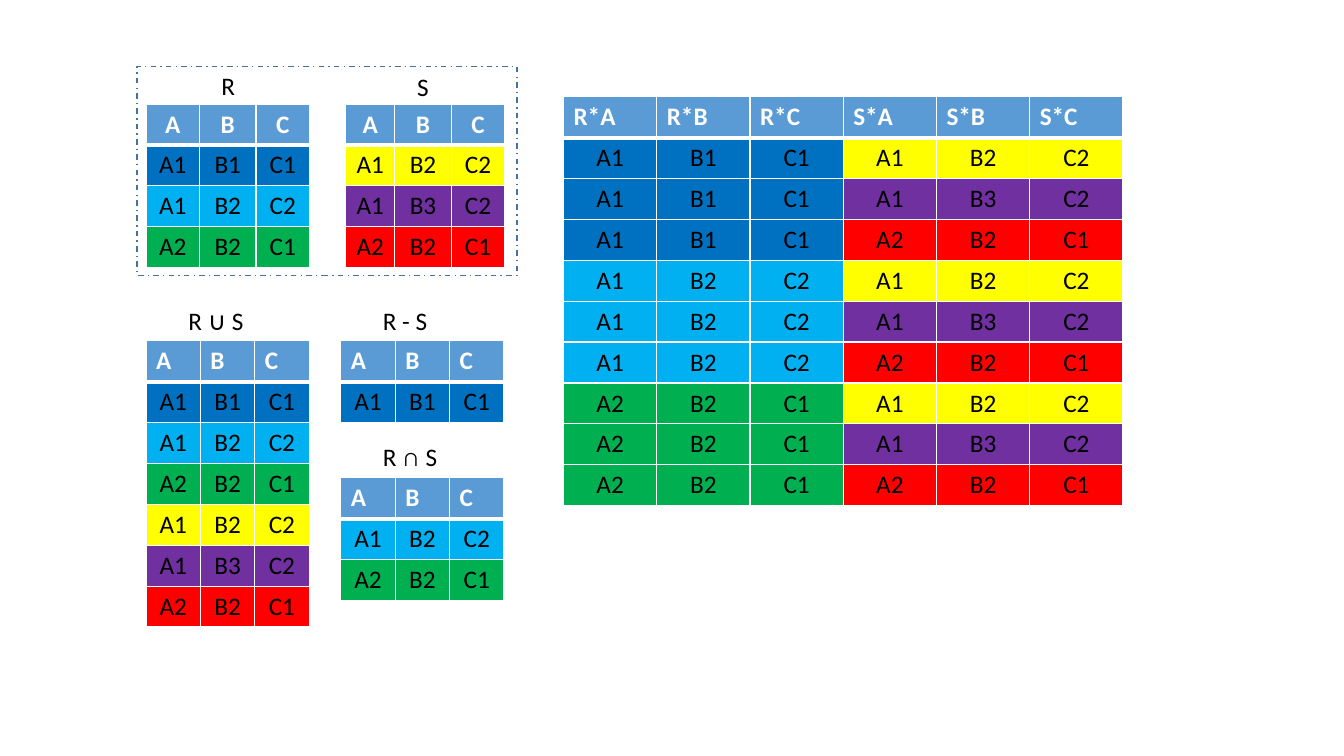
from itertools import product

from lxml import etree
from pptx import Presentation
from pptx.dml.color import RGBColor
from pptx.enum.dml import MSO_LINE
from pptx.enum.shapes import MSO_SHAPE
from pptx.enum.text import MSO_AUTO_SIZE, PP_ALIGN
from pptx.oxml.ns import qn
from pptx.util import Cm, Pt

COLORS = {
    "header": "5B9BD5", "frame": "43739E", "white": "FFFFFF", "black": "000000",
    "blue": "0070C0", "sky": "00B0F0", "green": "00B050",
    "yellow": "FFFF00", "purple": "7030A0", "red": "FF0000",
}
FONT, SIZE = "Calibri", Pt(18)
ROW_HEIGHT = 1.03

# A relation is a list of tuples; each value carries the colour of its tuple.
HEADERS = ["A", "B", "C"]


def relation(*rows):
    """Attach each row's colour to all of its values."""
    return [[(value, color) for value in values.split()] for values, color in rows]


R = relation(("A1 B1 C1", "blue"), ("A1 B2 C2", "sky"), ("A2 B2 C1", "green"))
S = relation(("A1 B2 C2", "yellow"), ("A1 B3 C2", "purple"), ("A2 B2 C1", "red"))


def values(row):
    """Return the row's values without colours."""
    return [value for value, _ in row]


S_VALUES = [values(row) for row in S]
UNION = R + S
DIFFERENCE = [row for row in R if values(row) not in S_VALUES]
INTERSECTION = [row for row in R if values(row) in S_VALUES]
PRODUCT = [r + s for r, s in product(R, S)]
PRODUCT_HEADERS = [f"{name}*{h}" for name, h in product("RS", HEADERS)]

EVEN = [1.37] * 3
# left, top, column widths, headers, rows, header alignment
TABLES = [
    (3.68, 2.62, [1.35, 1.42, 1.35], HEADERS, R, PP_ALIGN.CENTER),
    (8.71, 2.62, [1.24, 1.42, 1.35], HEADERS, S, PP_ALIGN.CENTER),
    (3.68, 8.59, EVEN, HEADERS, UNION, PP_ALIGN.LEFT),
    (8.59, 8.59, EVEN, HEADERS, DIFFERENCE, PP_ALIGN.LEFT),
    (8.59, 12.04, EVEN, HEADERS, INTERSECTION, PP_ALIGN.LEFT),
    (14.2, 2.44, [2.35] * 6, PRODUCT_HEADERS, PRODUCT, PP_ALIGN.LEFT),
]
# text, left, top, width, wrap
LABELS = [
    ("R", 5.33, 1.66, 0.84, True),
    ("S", 10.26, 1.68, 0.84, True),
    ("R ∪ S", 4.5, 7.57, 2.08, False),
    ("R - S", 9.4, 7.57, 1.65, False),
    ("R ∩ S", 9.4, 11.0, 1.9, False),
]
FRAME = (3.45, 1.68, 9.58, 5.26)


def rgb(name):
    """Look up a named colour."""
    return RGBColor.from_string(COLORS[name])


def write(frame, text, color="black", align=PP_ALIGN.LEFT, bold=False):
    """Put one styled line of text in a text frame."""
    paragraph = frame.paragraphs[0]
    paragraph.alignment = align
    run = paragraph.add_run()
    run.text = text
    run.font.name, run.font.size, run.font.bold = FONT, SIZE, bold
    run.font.color.rgb = rgb(color)


def add_borders(cell, top, bottom):
    """Draw white cell borders; side lines are 1 pt wide."""
    tc_pr = cell._tc.get_or_add_tcPr()
    for side, width in (("L", 1), ("R", 1), ("T", top), ("B", bottom)):
        line = etree.SubElement(tc_pr, qn(f"a:ln{side}"), w=str(Pt(width)))
        fill = etree.SubElement(line, qn("a:solidFill"))
        etree.SubElement(fill, qn("a:srgbClr"), val=COLORS["white"])


def add_relation(slide, left, top, widths, headers, rows, header_align):
    """Add one relation as a table with a thick line below its header."""
    grid = [[(h, "header") for h in headers]] + rows
    table = slide.shapes.add_table(
        len(grid), len(widths), Cm(left), Cm(top),
        Cm(sum(widths)), Cm(ROW_HEIGHT * len(grid))).table
    table.horz_banding = False
    for column, width in zip(table.columns, widths):
        column.width = Cm(width)
    for i, row in enumerate(grid):
        table.rows[i].height = Cm(ROW_HEIGHT)
        is_header = i == 0
        for j, (text, color) in enumerate(row):
            cell = table.cell(i, j)
            add_borders(cell, top=3 if i == 1 else 1, bottom=3 if is_header else 1)
            cell.fill.solid()
            cell.fill.fore_color.rgb = rgb(color)
            write(cell.text_frame, text, "white" if is_header else "black",
                  header_align if is_header else PP_ALIGN.CENTER, is_header)


def add_label(slide, text, left, top, width, wrap):
    """Add the name of a relation."""
    box = slide.shapes.add_textbox(Cm(left), Cm(top), Cm(width), Cm(1.03))
    box.text_frame.word_wrap = wrap
    box.text_frame.auto_size = MSO_AUTO_SIZE.SHAPE_TO_FIT_TEXT
    write(box.text_frame, text)


def add_frame(slide):
    """Add the dash-dot outline around the two input relations."""
    frame = slide.shapes.add_shape(MSO_SHAPE.RECTANGLE, *map(Cm, FRAME))
    frame.shadow.inherit = False
    frame.fill.background()
    frame.line.color.rgb = rgb("frame")
    frame.line.width = Pt(1)
    frame.line.dash_style = MSO_LINE.DASH_DOT


prs = Presentation()
prs.slide_width, prs.slide_height = Cm(33.87), Cm(19.05)
slide = prs.slides.add_slide(prs.slide_layouts[6])
for spec in TABLES:
    add_relation(slide, *spec)
for spec in LABELS:
    add_label(slide, *spec)
add_frame(slide)
prs.save("out.pptx")
